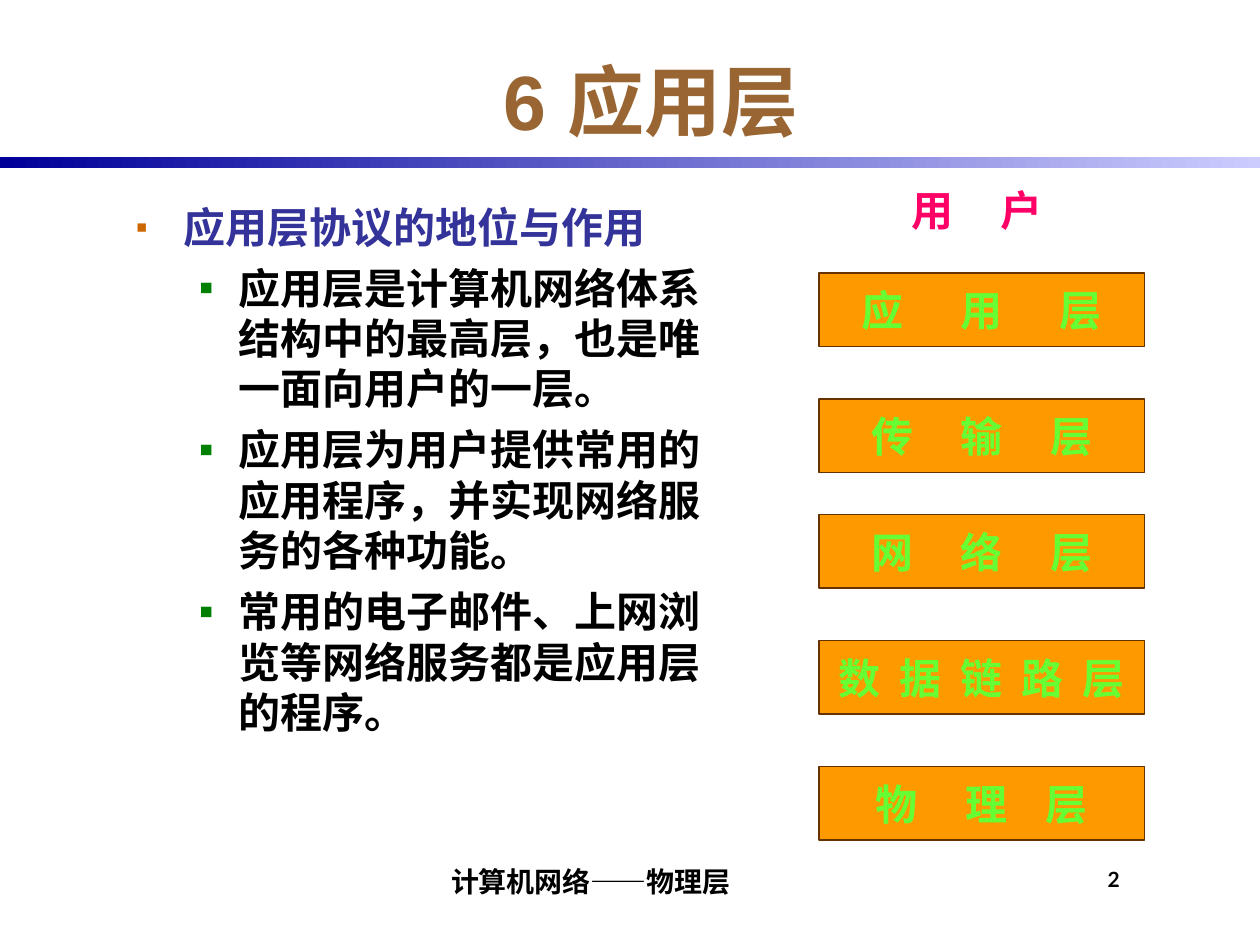
from lxml import etree
from pptx import Presentation
from pptx import util as u
from pptx.dml.color import RGBColor
from pptx.enum import shapes, text
from pptx.oxml.ns import qn

SPACE = 5.43
LAYERS = [
    (156, "应用层", (6, 6)),
    (228, "传输层", (5, 5)),
    (294, "网络层", (5, 5)),
    (366, "数据链路层", (2, 2, 2, 2)),
    (438, "物理层", (5, 4)),
]
POINTS = [
    "应用层是计算机网络体系结构中的最高层，也是唯一面向用户的一层。",
    "应用层为用户提供常用的应用程序，并实现网络服务的各种功能。",
    "常用的电子邮件、上网浏览等网络服务都是应用层的程序。",
]


def color(value):
    """Return the colour for a hex string."""
    return RGBColor.from_string(value)


def add_run(p, words, size, font, hex_color):
    """Add a bold run to a paragraph."""
    r = p.add_run()
    r.text = words
    r.font.size = u.Pt(size)
    r.font.name = font
    r.font.bold = True
    r.font.color.rgb = color(hex_color)
    return r


def add_spaced(p, words, gaps, hex_color):
    """Add characters set apart by gaps counted in space widths."""
    for i, char in enumerate(words):
        add_run(p, char, 24, "Times New Roman", hex_color)
        if i < len(gaps):
            r = add_run(p, " ", 24, "Times New Roman", hex_color)
            r.font._element.set("spc", str(round((gaps[i] - 1) * SPACE * 100)))


def add_text(s, box, anchor="TOP", align="LEFT", insets=(7.2, 3.6, 7.2, 3.6)):
    """Add a wrapping text box and return its text frame."""
    tf = s.shapes.add_textbox(*map(u.Pt, box)).text_frame
    tf.word_wrap = True
    tf.vertical_anchor = text.MSO_ANCHOR[anchor]
    tf.margin_left, tf.margin_top, tf.margin_right, tf.margin_bottom = map(u.Pt, insets)
    tf.paragraphs[0].alignment = text.PP_ALIGN[align]
    return tf


def add_rect(s, box):
    """Add a plain rectangle without shadow."""
    sp = s.shapes.add_shape(shapes.MSO_SHAPE.RECTANGLE, *map(u.Pt, box))
    sp.shadow.inherit = False
    return sp


def add_rule(s, box, left_color, right_color):
    """Add the gradient bar below the title."""
    sp = add_rect(s, box)
    sp.line.fill.background()
    sp.fill.gradient()
    sp.fill.gradient_angle = 180
    for stop, value in zip(sp.fill.gradient_stops, (right_color, left_color)):
        stop.color.rgb = color(value)


def add_layer(s, top, words, gaps):
    """Add one box of the protocol stack."""
    sp = add_rect(s, (468, top, 186, 42))
    sp.fill.solid()
    sp.fill.fore_color.rgb = color("FF9900")
    sp.line.color.rgb = color("663300")
    sp.line.width = u.Pt(0.75)
    tf = sp.text_frame
    tf.word_wrap = False
    tf.vertical_anchor = text.MSO_ANCHOR.MIDDLE
    p = tf.paragraphs[0]
    p.alignment = text.PP_ALIGN.CENTER
    add_spaced(p, words, gaps, "66FF33")


def set_bullet(p, left, hanging, hex_color, percent=100):
    """Give a paragraph a square bullet with a hanging indent."""
    pPr = p._p.get_or_add_pPr()
    pPr.set("marL", str(u.Pt(left)))
    pPr.set("indent", str(-u.Pt(hanging)))
    clr = etree.SubElement(pPr, qn("a:buClr"))
    etree.SubElement(clr, qn("a:srgbClr"), val=hex_color)
    etree.SubElement(pPr, qn("a:buSzPct"), val=str(percent * 1000))
    etree.SubElement(pPr, qn("a:buFont"), typeface="Arial")
    etree.SubElement(pPr, qn("a:buChar"), char="▪")


def add_body(s):
    """Add the heading and its bullet points."""
    tf = add_text(s, (70.5, 111.5, 348, 360))
    p = tf.paragraphs[0]
    set_bullet(p, 27, 27, "CC6600", 80)
    add_run(p, "应用层协议的地位与作用", 24, "Arial", "333399")
    for point in POINTS:
        p = tf.add_paragraph()
        p.level = 1
        set_bullet(p, 58.5, 22.5, "008000")
        p.space_before = u.Pt(6)
        add_run(p, point, 24, "Arial", "000000")


def main():
    """Build the slide and save it."""
    prs = Presentation()
    prs.slide_width, prs.slide_height = u.Pt(720), u.Pt(540)
    s = prs.slides.add_slide(prs.slide_layouts[6])
    add_rule(s, (0, 90, 720, 6), "000099", "CCCCFF")
    tf = add_text(s, (66, 24, 612, 66), "MIDDLE", "CENTER")
    add_run(tf.paragraphs[0], "6 应用层", 44, "Arial", "996633")
    add_body(s)
    for top, words, gaps in LAYERS:
        add_layer(s, top, words, gaps)
    tf = add_text(s, (488, 102, 140.5, 36), align="CENTER")
    add_spaced(tf.paragraphs[0], "用户", (5,), "FF0066")
    tf = add_text(s, (150, 486, 372, 30), "BOTTOM", "CENTER", (3, 0, 0, 3))
    add_run(tf.paragraphs[0], "计算机网络——物理层", 16, "Lato", "000000")
    tf = add_text(s, (630, 492, 42, 30), insets=(3, 3, 0, 0))
    add_run(tf.paragraphs[0], "2", 12, "Lato", "000000")
    prs.save("out.pptx")


if __name__ == "__main__":
    main()
